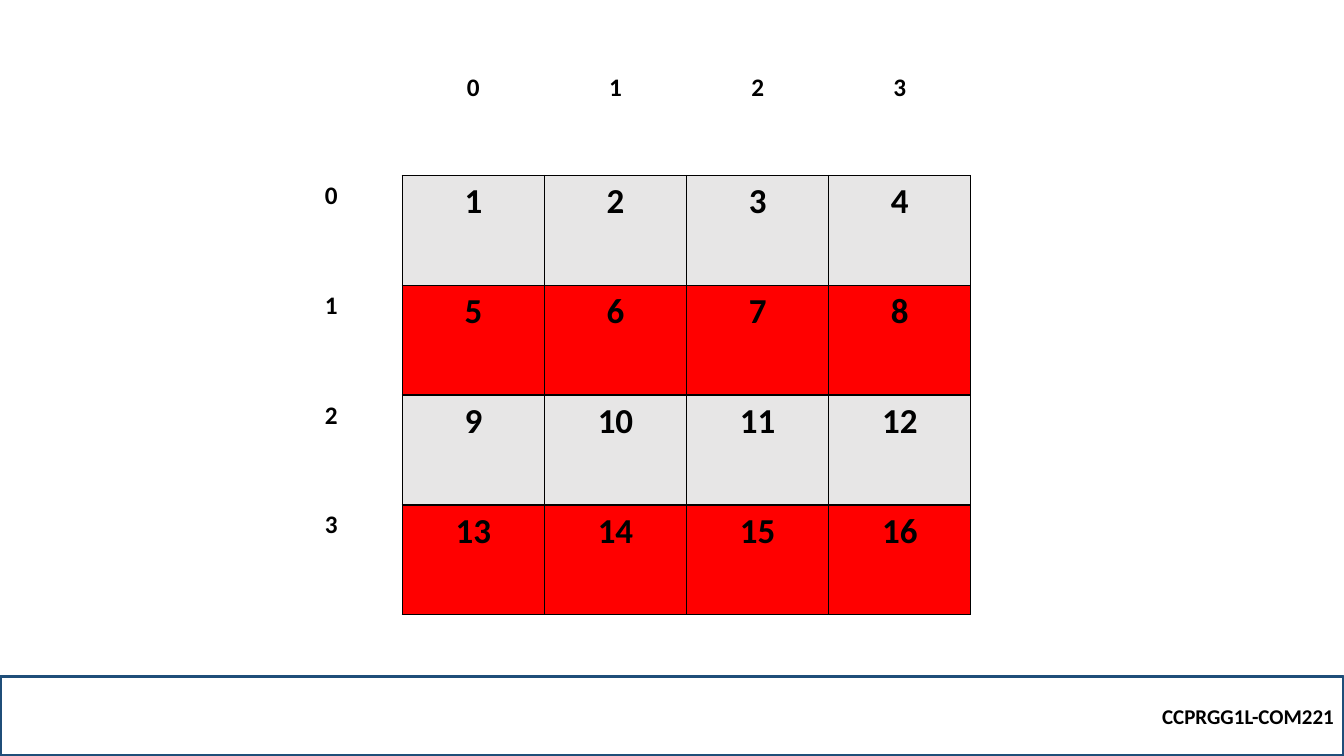
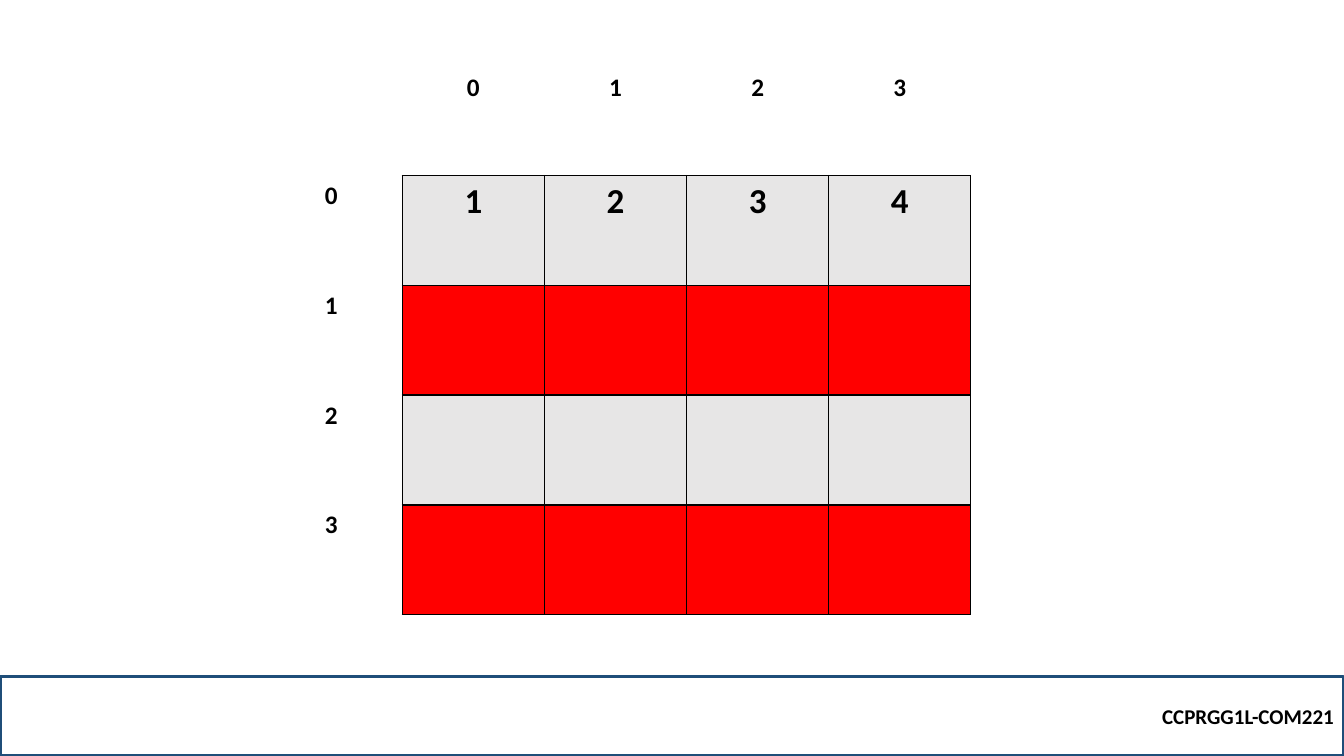
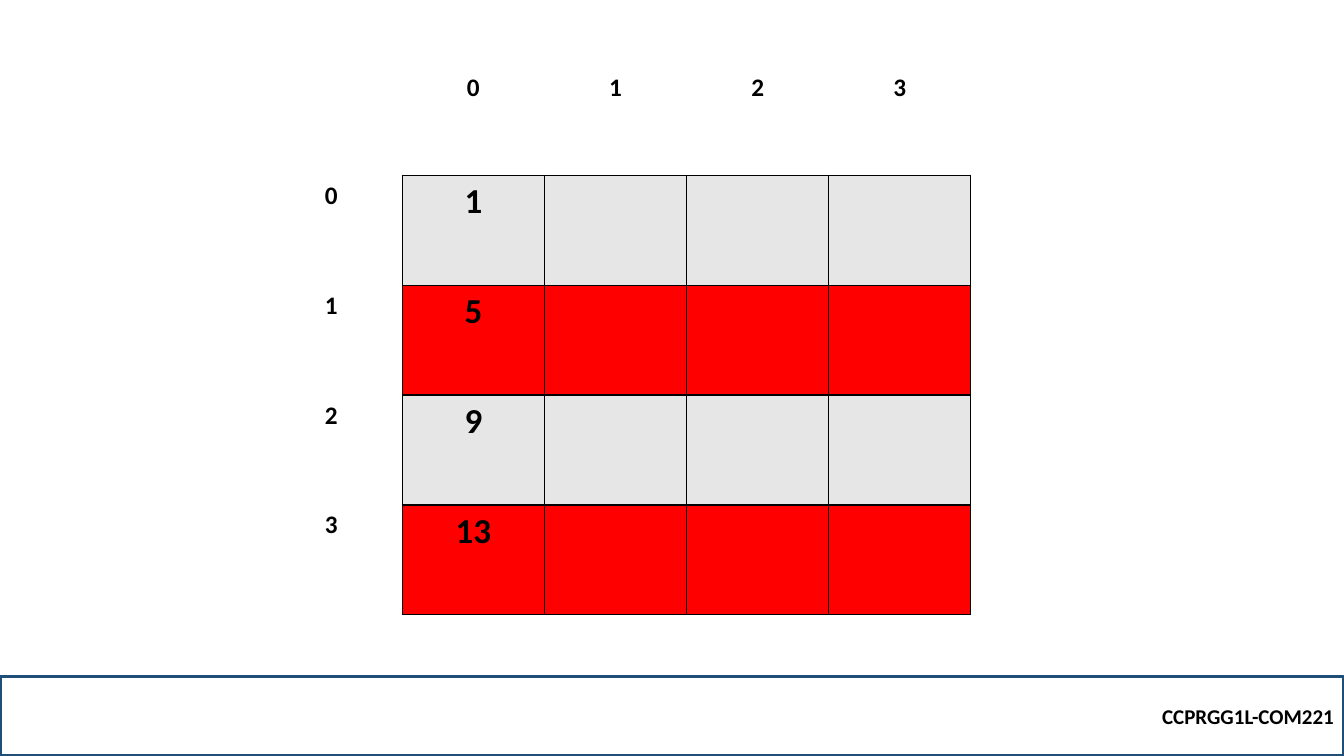
"""Build three slides showing a four by four array in full, by row and by column."""
import pptx
import pptx.util
import pptx.dml.color
import pptx.enum.shapes
import pptx.enum.text
import lxml.etree

COURSE = "CCPRGG1L-COM221"
ARRAY = [
    [1, 2, 3, 4],
    [5, 6, 7, 8],
    [9, 10, 11, 12],
    [13, 14, 15, 16],
]
ALL = range(4)
VIEWS = [
    {"rows": ALL, "cols": ALL},
    {"rows": [0], "cols": ALL},
    {"rows": ALL, "cols": [0]},
]

COLORS = {"ink": "000000", "navy": "1F4E79", "gray": "E7E6E6", "red": "FF0000"}
BANDS = ["gray", "red"]
WIDE, HIGH = 13.33, 7.5
LEFT, TOP = 2.58, 0.67
COL, HEAD, ROW = 1.41, 1.07, 1.09
FOOT = 0.79
ALIGN = pptx.enum.text.PP_ALIGN
FORMATS = {
    "label": {"name": "Calibri", "bold": True, "size": pptx.util.Pt(18)},
    "value": {"name": "Calibri", "bold": True, "size": pptx.util.Pt(25)},
    "foot": {"name": "Calibri", "bold": True, "size": pptx.util.Pt(15)},
}
NS = "{http://schemas.openxmlformats.org/drawingml/2006/main}"


def color(name):
    return pptx.dml.color.RGBColor.from_string(COLORS[name])


def inches(*sizes):
    return [pptx.util.Inches(size) for size in sizes]


def write(frame, text, style, align):
    para = frame.paragraphs[0]
    para.alignment = align
    run = para.add_run()
    run.text = str(text)
    for key, value in FORMATS[style].items():
        setattr(run.font, key, value)
    run.font.color.rgb = color("ink")


def border(cell, sides):
    props = cell._tc.get_or_add_tcPr()
    for side in "LRTB":
        line = lxml.etree.SubElement(props, NS + "ln" + side, w="12700")
        if side in sides:
            fill = lxml.etree.SubElement(line, NS + "solidFill")
            lxml.etree.SubElement(fill, NS + "srgbClr", val=COLORS["ink"])
        else:
            lxml.etree.SubElement(line, NS + "noFill")


def add_footer(slide):
    bar = slide.shapes.add_shape(
        pptx.enum.shapes.MSO_SHAPE.RECTANGLE,
        *inches(0, HIGH - FOOT, WIDE, FOOT))
    bar.shadow.inherit = False
    bar.fill.background()
    bar.line.color.rgb = color("navy")
    bar.line.width = pptx.util.Pt(2.25)
    bar.text_frame.vertical_anchor = pptx.enum.text.MSO_ANCHOR.MIDDLE
    write(bar.text_frame, COURSE, "foot", ALIGN.RIGHT)


def add_label(cell, text, sides):
    border(cell, sides)
    cell.fill.background()
    if text is not None:
        write(cell.text_frame, text, "label", ALIGN.CENTER)


def add_grid(slide, view):
    count = len(ARRAY)
    table = slide.shapes.add_table(
        count + 1, count + 1,
        *inches(LEFT, TOP, COL * (count + 1), HEAD + ROW * count)).table
    table.first_row = table.horz_banding = False
    for col in table.columns:
        col.width = pptx.util.Inches(COL)
    for index, row in enumerate(table.rows):
        row.height = pptx.util.Inches(ROW if index else HEAD)
    add_label(table.cell(0, 0), None, "")
    for index in range(count):
        add_label(table.cell(0, index + 1), index, "B")
        add_label(table.cell(index + 1, 0), index, "R")
    for r, values in enumerate(ARRAY):
        for c, value in enumerate(values):
            cell = table.cell(r + 1, c + 1)
            border(cell, "LRTB")
            cell.fill.solid()
            cell.fill.fore_color.rgb = color(BANDS[r % len(BANDS)])
            if r in view["rows"] and c in view["cols"]:
                write(cell.text_frame, value, "value", ALIGN.CENTER)


deck = pptx.Presentation()
deck.slide_width, deck.slide_height = inches(WIDE, HIGH)
for view in VIEWS:
    slide = deck.slides.add_slide(deck.slide_layouts[6])
    add_footer(slide)
    add_grid(slide, view)
deck.save("out.pptx")
